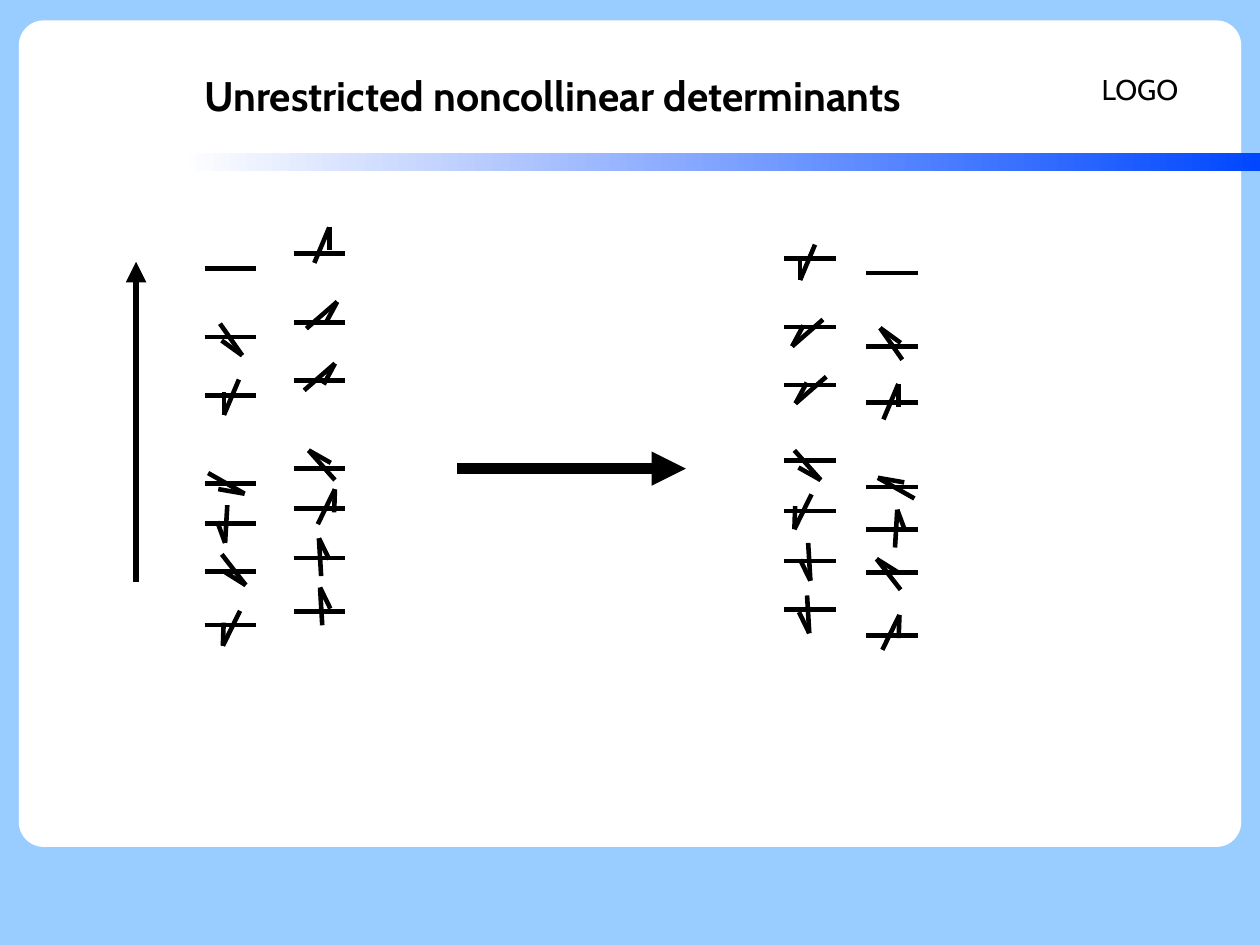
from lxml import etree
from pptx import Presentation
from pptx.dml.color import RGBColor
from pptx.enum import shapes, text
from pptx.oxml import ns
from pptx.util import Pt

COLORS = {"sky": "99CCFF", "card": "FFFFFF", "bar": "0047FF", "ink": "000000"}
FONT = "Cabin"
THIN = 2.89
WIDTH = 32.6

# Each spin: shaft and barb as (dx, dy) from the tip, from top level to bottom
STEEP = ((-9.4, 22.3), (0, 14.5))
FLAT = ((-19.4, 16.9), (-7.1, 13.2))
LEAN = ((-10.8, 22), (-0.5, 14.6))
UPRIGHT = ((1.4, 23.8), (6.5, 13.3))


def flip(spin):
    """Turn a spin by half a circle."""
    return tuple((-dx, -dy) for dx, dy in spin)


FULL = [STEEP, FLAT, FLAT, ((16.6, 18.7), (14, 7.9)), LEAN, UPRIGHT, UPRIGHT]
OPEN = [
    ((-14, -20), (-13, -9.4)),
    flip(STEEP),
    ((-23, -13), (-16.6, -2.9)),
    ((1.4, -23.8), (-5, -13.5)),
    ((-15.1, -19.4), (-13.7, -8.6)),
    flip(LEAN),
]

# Each column: left edge, level heights, spins, spin tips
COLUMNS = [
    (128.9, [169.2, 212.4, 249.1, 304.6, 329.8, 360, 393.8], OPEN,
     [(152.6, 223.9), (141.1, 261.4), (154.1, 311), (141.8, 342),
      (154.8, 368.6), (140.4, 406.8)]),
    (185, [159.8, 203, 239.8, 295.2, 320.4, 351.4, 385.2], FULL,
     [(207.4, 143.3), (212.4, 190.1), (211, 229), (194.4, 283.7),
      (211, 308.2), (200.9, 339.1), (201.6, 370.1)]),
    (493.9, [162.7, 205.9, 242.6, 290.2, 321.8, 353.5, 383.8],
     [flip(spin) for spin in FULL],
     [(504, 176.4), (499, 218.2), (501.1, 254.2), (517, 302.4),
      (500.4, 333.4), (510.5, 365.8), (509.8, 398.9)]),
    (545.8, [172.1, 218.2, 253.4, 306.7, 333.4, 360.7, 400.3],
     [flip(spin) for spin in OPEN],
     [(554.4, 206.6), (565.9, 241.9), (553, 301), (565.2, 321.1),
      (552.2, 352.1), (566.6, 387.4)]),
]


def color(name):
    return RGBColor.from_string(COLORS[name])


def add_line(slide, start, end, width=THIN, arrow=False):
    line = slide.shapes.add_connector(
        shapes.MSO_CONNECTOR.STRAIGHT, *map(Pt, (*start, *end)))
    line.line.color.rgb = color("ink")
    line.line.width = Pt(width)
    props = line._element.spPr
    if arrow:
        etree.SubElement(props.find(ns.qn("a:ln")), ns.qn("a:tailEnd"),
                         type="triangle")
    etree.SubElement(props, ns.qn("a:effectLst"))


def add_spin(slide, tip, spin):
    """Draw a half-headed arrow: a shaft and one barb meeting at the tip."""
    x, y = tip
    for dx, dy in spin:
        add_line(slide, tip, (x + dx, y + dy))


def add_column(slide, left, levels, spins, tips):
    for y in levels:
        add_line(slide, (left, y), (left + WIDTH, y))
    for tip, spin in zip(tips, spins):
        add_spin(slide, tip, spin)


def add_block(slide, kind, *box):
    block = slide.shapes.add_shape(kind, *map(Pt, box))
    block.shadow.inherit = False
    block.line.fill.background()
    return block


def add_frame(slide):
    card = add_block(slide, shapes.MSO_SHAPE.ROUNDED_RECTANGLE,
                     11.9, 12.9, 770, 520.6)
    card.adjustments[0] = 0.03
    card.fill.solid()
    card.fill.fore_color.rgb = color("card")
    bar = add_block(slide, shapes.MSO_SHAPE.RECTANGLE, 113, 96.4, 680.7, 11.5)
    bar.fill.gradient()
    bar.fill.gradient_angle = 0
    for stop, place, name in zip(bar.fill.gradient_stops, (0, 1),
                                 ("card", "bar")):
        stop.position = place
        stop.color.rgb = color(name)


def set_text(shape, words, size, align, bold=False):
    frame = shape.text_frame
    frame.text = words
    frame.word_wrap = True
    frame.auto_size = text.MSO_AUTO_SIZE.NONE
    frame.vertical_anchor = text.MSO_ANCHOR.MIDDLE
    para = frame.paragraphs[0]
    para.alignment = align
    font = para.runs[0].font
    font.name, font.size, font.bold = FONT, Pt(size), bold
    font.color.rgb = color("ink")


def set_title(slide, words):
    title = slide.shapes.title
    title.left, title.top, title.width, title.height = map(
        Pt, (39.6, 23.5, 617.8, 72.7))
    set_text(title, words, 26, text.PP_ALIGN.CENTER, bold=True)
    frame = title.text_frame
    frame.margin_left = frame.margin_right = Pt(0)
    frame.margin_top = frame.margin_bottom = Pt(0)
    slide.shapes._spTree.append(title._element)  # in front of the card


def main():
    deck = Presentation()
    deck.slide_width, deck.slide_height = Pt(793.7), Pt(595.28)
    slide = deck.slides.add_slide(deck.slide_layouts[5])
    slide.background.fill.solid()
    slide.background.fill.fore_color.rgb = color("sky")
    add_frame(slide)
    logo = slide.shapes.add_textbox(*map(Pt, (686.9, 22.6, 65.5, 67.7)))
    set_text(logo, "LOGO", 18, text.PP_ALIGN.LEFT)
    set_title(slide, "Unrestricted noncollinear determinants")
    add_line(slide, (288, 295.2), (432, 295.2), 7.2, arrow=True)
    for column in COLUMNS:
        add_column(slide, *column)
    add_line(slide, (85.7, 366.5), (85.7, 164.9), 4.31, arrow=True)
    deck.save("out.pptx")


if __name__ == "__main__":
    main()
